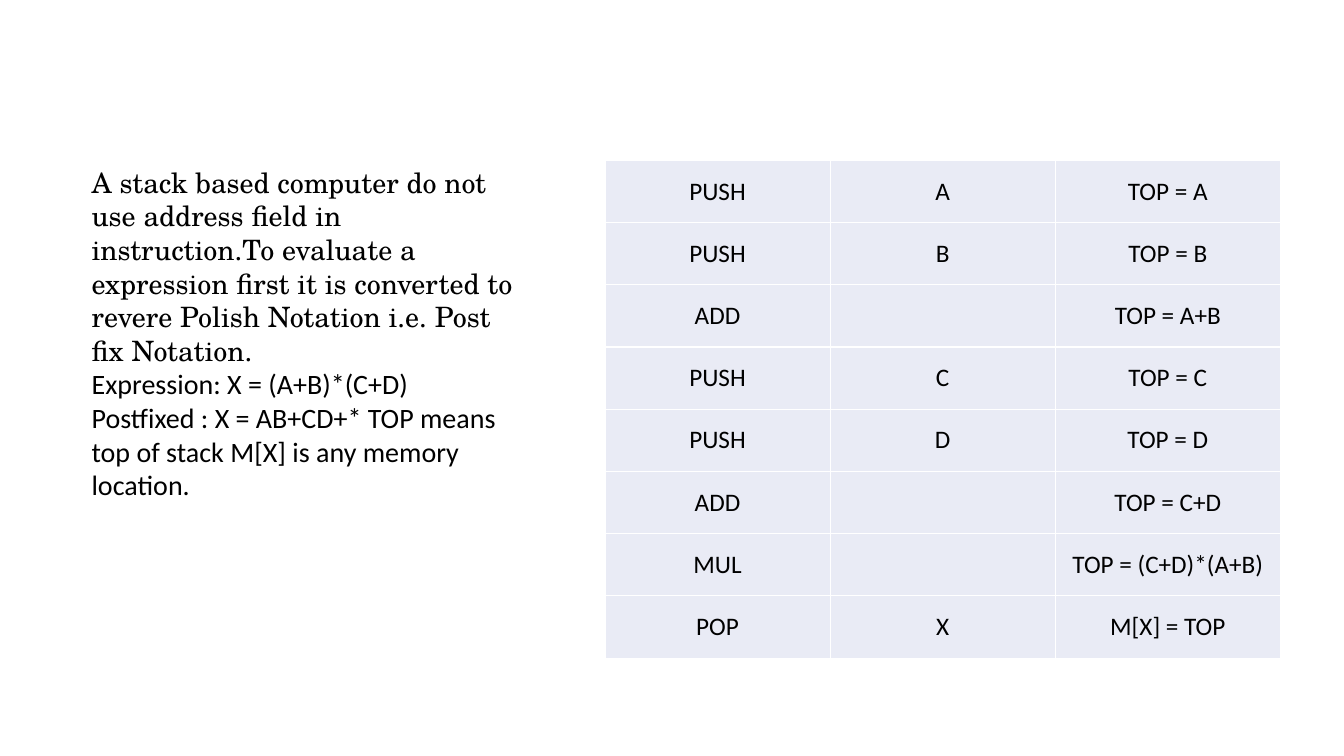
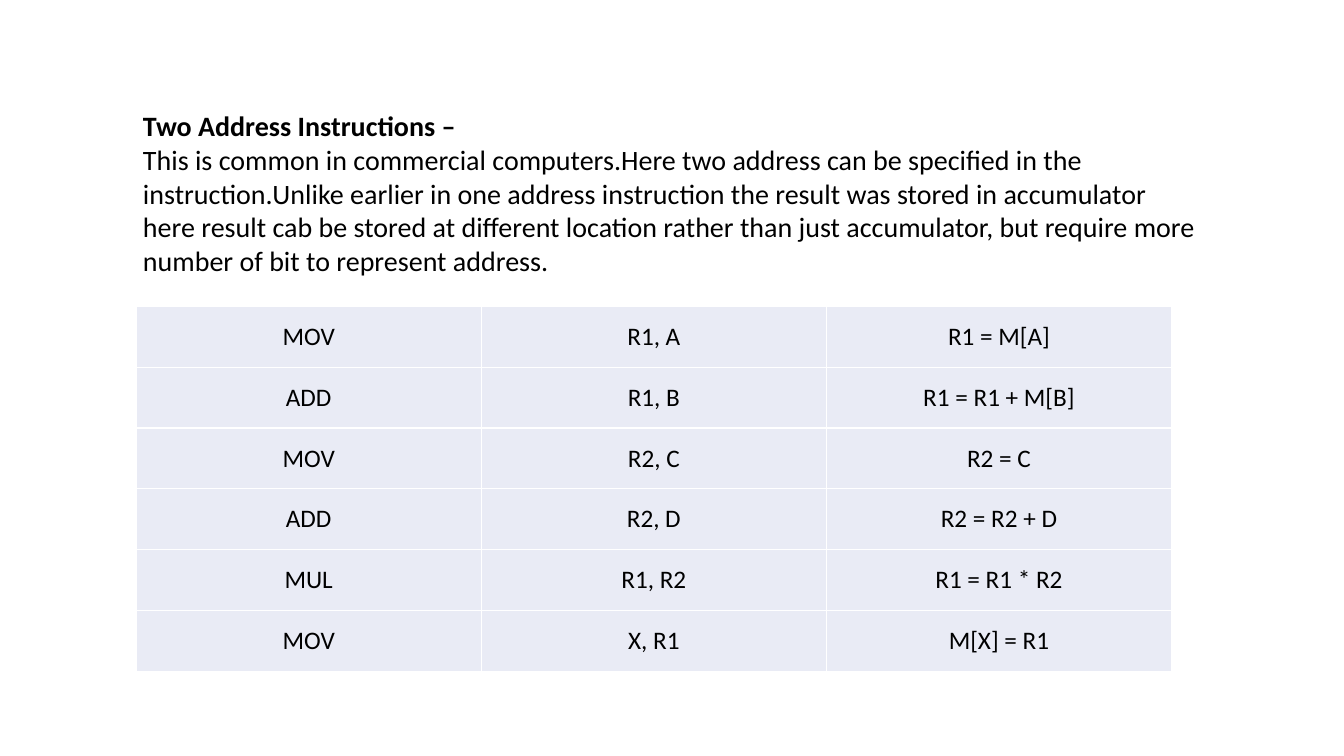
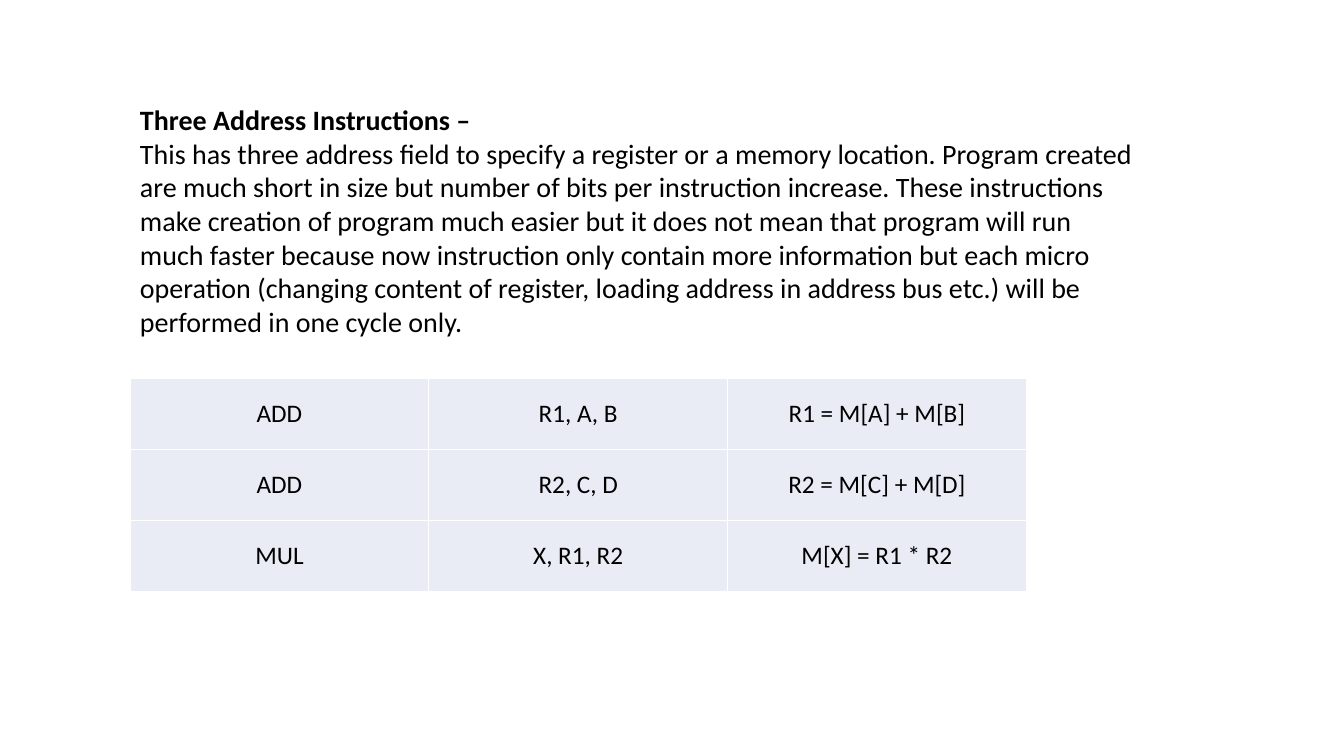
from lxml import etree
from pptx import Presentation
from pptx.dml.color import RGBColor
from pptx.enum.text import MSO_ANCHOR, MSO_AUTO_SIZE, PP_ALIGN
from pptx.oxml.ns import qn
from pptx.util import Pt

SCALE = 9144
MIDDLE = MSO_ANCHOR.MIDDLE
GROW = MSO_AUTO_SIZE.SHAPE_TO_FIT_TEXT
CENTER = PP_ALIGN.CENTER
BLANK = 6
SANS = "Calibri"
SERIF = "TeX Gyre Schola"
INK = "000000"
PALE = "E9EBF5"
RULE = "FFFFFF"
SIDES = ("a:lnL", "a:lnR", "a:lnT", "a:lnB")


def px(count):
    return count * SCALE


def color(code):
    return RGBColor.from_string(code)


class Deck:
    """Hold the shared style and the current slide."""

    def __init__(self, width, height):
        self.file = Presentation()
        self.file.slide_width = px(width)
        self.file.slide_height = px(height)
        self.slide = None

    def page(self):
        self.slide = self.file.slides.add_slide(self.file.slide_layouts[BLANK])

    def style(self, para, size, face=SANS, bold=False):
        for run in para.runs:
            run.font.size = Pt(size)
            run.font.name = face
            run.font.bold = bold
            run.font.color.rgb = color(INK)

    def prose(self, box, lines, face=SANS, bold=False):
        frame = self.slide.shapes.add_textbox(*map(px, box)).text_frame
        frame.word_wrap = True
        frame.auto_size = GROW
        frame.text = "\n".join(lines)
        first, *rest = frame.paragraphs
        self.style(first, 20, face, bold)
        for para in rest:
            self.style(para, 20)

    def border(self, cell):
        props = cell._tc.get_or_add_tcPr()
        for side in SIDES:
            line = etree.SubElement(props, qn(side), w=str(Pt(1)))
            fill = etree.SubElement(line, qn("a:solidFill"))
            etree.SubElement(fill, qn("a:srgbClr"), val=RULE)

    def table(self, box, rows):
        shape = self.slide.shapes.add_table(len(rows), len(rows[0]), *map(px, box))
        grid = shape.table
        grid.first_row = False
        grid.horz_banding = False
        for cells, texts in zip(grid.rows, rows):
            for cell, text in zip(cells.cells, texts):
                self.border(cell)
                cell.fill.solid()
                cell.fill.fore_color.rgb = color(PALE)
                cell.vertical_anchor = MIDDLE
                para = cell.text_frame.paragraphs[0]
                para.alignment = CENTER
                if text:
                    para.text = text
                    self.style(para, 18)

    def save(self):
        self.file.save("out.pptx")


def main():
    deck = Deck(1333, 750)

    deck.page()
    deck.prose((81, 159, 455, 279), [
        "A stack based computer do not use address field in instruction."
        "To evaluate a expression first it is converted to revere Polish "
        "Notation i.e. Post fix Notation.",
        "Expression: X = (A+B)*(C+D)",
        "Postfixed : X = AB+CD+* TOP means top of stack M[X] is any memory "
        "location.",
    ], face=SERIF)
    deck.table((600, 159, 670, 494), [
        ("PUSH", "A", "TOP = A"),
        ("PUSH", "B", "TOP = B"),
        ("ADD", "", "TOP = A+B"),
        ("PUSH", "C", "TOP = C"),
        ("PUSH", "D", "TOP = D"),
        ("ADD", "", "TOP = C+D"),
        ("MUL", "", "TOP = (C+D)*(A+B)"),
        ("POP", "X", "M[X] = TOP"),
    ])

    deck.page()
    deck.prose((132, 103, 1070, 178), [
        "Two Address Instructions –",
        "This is common in commercial computers.Here two address can be "
        "specified in the instruction.Unlike earlier in one address "
        "instruction the result was stored in accumulator here result cab be "
        "stored at different location rather than just accumulator, but "
        "require more number of bit to represent address.",
    ], bold=True)
    deck.table((135, 304, 1027, 362), [
        ("MOV", "R1, A", "R1 = M[A]"),
        ("ADD", "R1, B", "R1 = R1 + M[B]"),
        ("MOV", "R2, C", "R2 = C"),
        ("ADD", "R2, D", "R2 = R2 + D"),
        ("MUL", "R1, R2", "R1 = R1 * R2"),
        ("MOV", "X, R1", "M[X] = R1"),
    ])

    deck.page()
    deck.prose((129, 97, 1010, 246), [
        "Three Address Instructions –",
        "This has three address field to specify a register or a memory "
        "location. Program created are much short in size but number of bits "
        "per instruction increase. These instructions make creation of "
        "program much easier but it does not mean that program will run much "
        "faster because now instruction only contain more information but "
        "each micro operation (changing content of register, loading address "
        "in address bus etc.) will be performed in one cycle only.",
    ], bold=True)
    deck.table((129, 375, 889, 212), [
        ("ADD", "R1, A, B", "R1 = M[A] + M[B]"),
        ("ADD", "R2, C, D", "R2 = M[C] + M[D]"),
        ("MUL", "X, R1, R2", "M[X] = R1 * R2"),
    ])

    deck.save()


if __name__ == "__main__":
    main()
